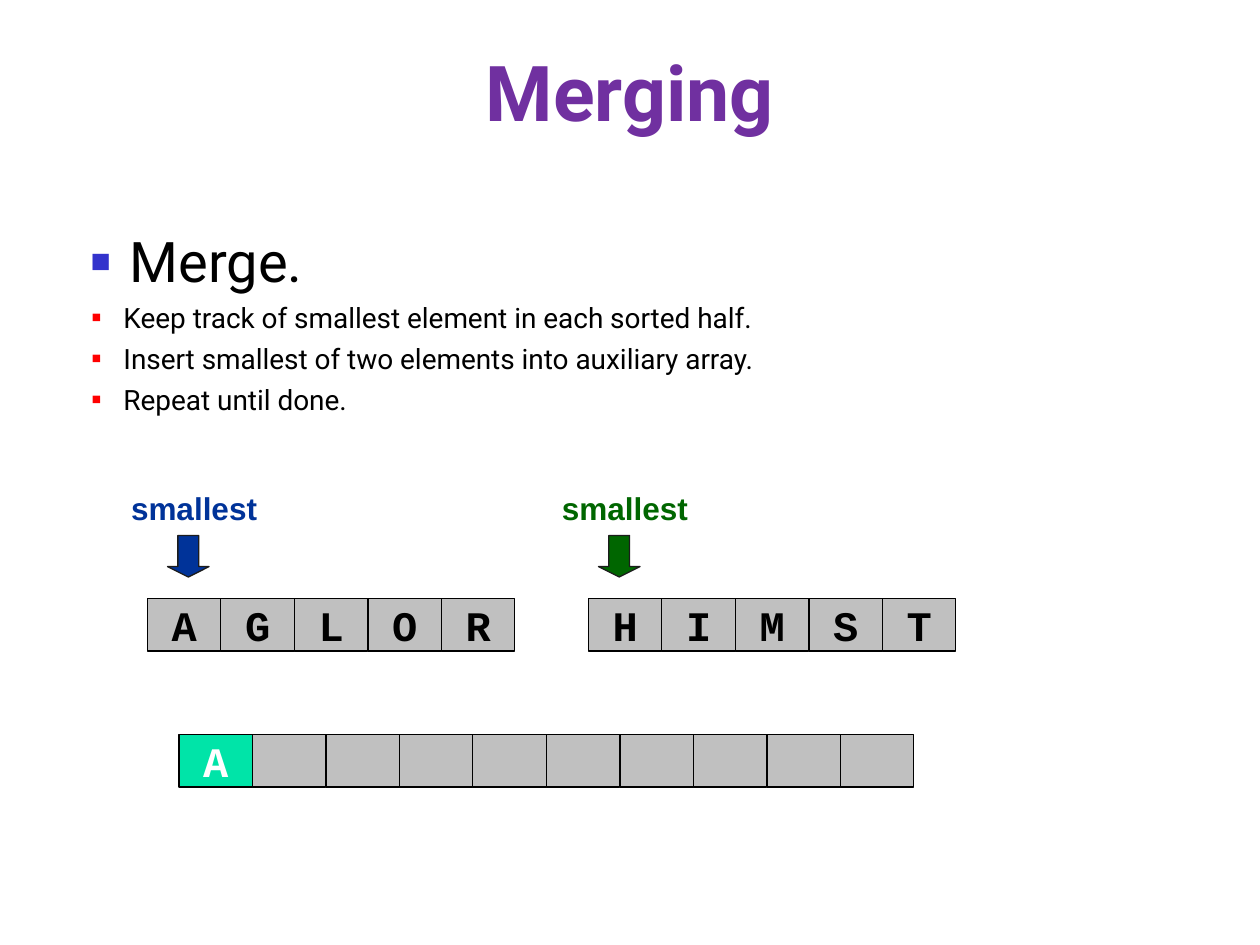
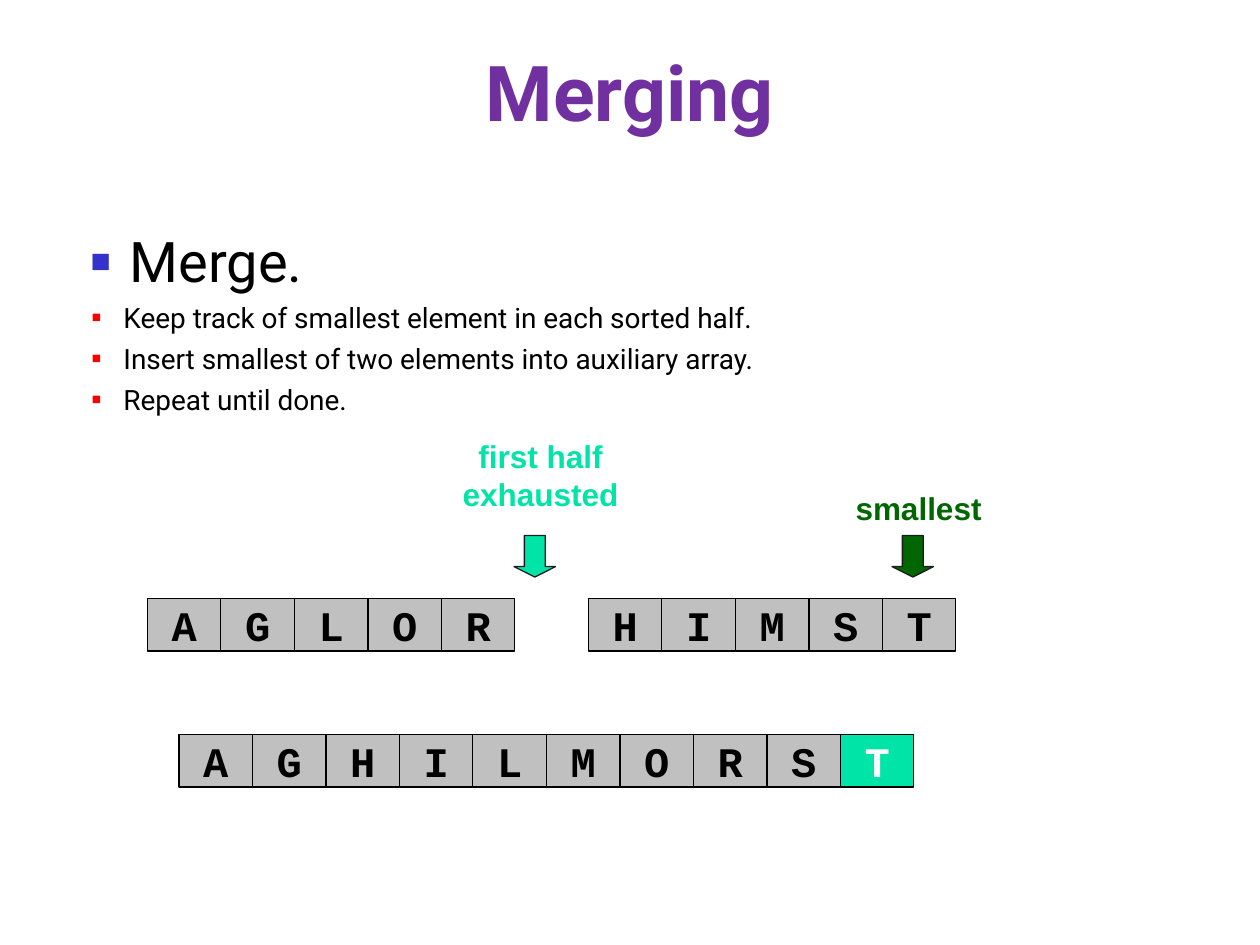
from lxml.etree import SubElement
from pptx import Presentation
from pptx.dml.color import RGBColor
from pptx.enum.shapes import MSO_SHAPE as Shape
from pptx.enum.text import MSO_ANCHOR as Anchor, MSO_AUTO_SIZE as AutoSize, PP_ALIGN as Align
from pptx.oxml.ns import qn
from pptx.util import Inches, Pt

PURPLE, BLUE, GREEN, MINT = "7030A0", "003399", "006600", "00E4A8"
BLACK, WHITE, GRAY, OUTLINE = "000000", "FFFFFF", "C0C0C0", "1C1C1C"
BULLET_BLUE, BULLET_RED = "3333CC", "FF0000"
CELL_WIDTH, CELL_HEIGHT = 7 / 12, 5 / 12
HALVES = [(1.17, "AGLOR"), (4.67, "HIMST")]
HALVES_TOP, AUXILIARY_LEFT, AUXILIARY_TOP = 4.75, 1.42, 5.83
AUXILIARY_SIZE = 10
ARROW_TOP, ARROW_SIZE = 4.25, 0.33
STEPS = [
    "Keep track of smallest element in each sorted half.",
    "Insert smallest of two elements into auxiliary array.",
    "Repeat until done.",
]


def color(hex_code):
    return RGBColor.from_string(hex_code)


def add_run(paragraph, text, font, size, hex_code, bold=False):
    run = paragraph.add_run()
    run.text = text
    run.font.name = font
    run.font.size = Pt(size)
    run.font.bold = bold
    run.font.color.rgb = color(hex_code)


def place(element, left, top, width, height):
    element.left, element.top = Inches(left), Inches(top)
    element.width, element.height = Inches(width), Inches(height)


def add_bullet(paragraph, hex_code, percent, margin, indent):
    properties = paragraph._p.get_or_add_pPr()
    properties.set("marL", str(Inches(margin)))
    properties.set("indent", str(Inches(indent)))
    bullet_color = SubElement(properties, qn("a:buClr"))
    SubElement(bullet_color, qn("a:srgbClr"), val=hex_code)
    SubElement(properties, qn("a:buSzPct"), val=str(percent * 1000))
    SubElement(properties, qn("a:buFont"), typeface="Arial")
    SubElement(properties, qn("a:buChar"), char="■")


def add_title(slide, text):
    title = slide.shapes.title
    place(title, 0.5, 0.3, 9, 1.25)
    frame = title.text_frame
    frame.auto_size = AutoSize.NONE
    frame.vertical_anchor = Anchor.TOP
    frame.paragraphs[0].alignment = Align.CENTER
    add_run(frame.paragraphs[0], text, "Roboto", 44, PURPLE, True)


def add_steps(slide, heading, steps):
    body = slide.placeholders[1]
    place(body, 0.5, 1.75, 9, 4.95)
    frame = body.text_frame
    frame.auto_size = AutoSize.NONE
    topic = frame.paragraphs[0]
    add_bullet(topic, BULLET_BLUE, 60, 0.43, -0.31)
    topic.space_before = Pt(0)
    add_run(topic, heading, "Roboto", 32, BLACK)
    for step in steps:
        item = frame.add_paragraph()
        item.level = 1
        add_bullet(item, BULLET_RED, 55, 0.38, -0.25)
        item.space_before = Pt(4)
        add_run(item, step, "Roboto", 16, BLACK)


def add_figure(slide, kind, left, top, width, height, fill, line):
    figure = slide.shapes.add_shape(
        kind, Inches(left), Inches(top), Inches(width), Inches(height))
    figure.shadow.inherit = False
    figure.fill.solid()
    figure.fill.fore_color.rgb = color(fill)
    figure.line.color.rgb = color(line)
    figure.line.width = Pt(0.75)
    return figure


def add_array(slide, left, top, letters, size, newest=None):
    for index, letter in enumerate(letters.ljust(size)):
        fill, ink = (MINT, WHITE) if index == newest else (GRAY, BLACK)
        cell = add_figure(slide, Shape.RECTANGLE, left + index * CELL_WIDTH, top,
                          CELL_WIDTH, CELL_HEIGHT, fill, BLACK)
        if letter.strip():
            frame = cell.text_frame
            frame.word_wrap = False
            frame.vertical_anchor = Anchor.MIDDLE
            frame.paragraphs[0].alignment = Align.CENTER
            add_run(frame.paragraphs[0], letter, "Courier New", 24, ink, True)


def add_pointer(slide, left, label_top, label_lines, hex_code):
    label = slide.shapes.add_textbox(
        Inches(left - 0.83), Inches(label_top), Inches(2.08),
        Inches(0.1 + 0.3 * len(label_lines)))
    label.text_frame.word_wrap = True
    caption = label.text_frame.paragraphs[0]
    caption.alignment = Align.CENTER
    for index, line in enumerate(label_lines):
        if index:
            caption.add_line_break()
        add_run(caption, line, "Arial", 18, hex_code, True)
    arrow = add_figure(slide, Shape.DOWN_ARROW, left, ARROW_TOP,
                       ARROW_SIZE, ARROW_SIZE, hex_code, OUTLINE)
    arrow.adjustments[0], arrow.adjustments[1] = 0.5, 0.25


def add_merge_slide(deck, pointers, merged):
    slide = deck.slides.add_slide(deck.slide_layouts[1])
    add_title(slide, "Merging")
    add_steps(slide, "Merge.", STEPS)
    for pointer in pointers:
        add_pointer(slide, *pointer)
    for left, letters in HALVES:
        add_array(slide, left, HALVES_TOP, letters, len(letters))
    add_array(slide, AUXILIARY_LEFT, AUXILIARY_TOP, merged, AUXILIARY_SIZE,
              newest=len(merged) - 1)


def main():
    deck = Presentation()
    deck.slide_width, deck.slide_height = Inches(10), Inches(7.5)
    add_merge_slide(deck, [
        (1.33, 3.83, ["smallest"], BLUE),
        (4.75, 3.83, ["smallest"], GREEN),
    ], "A")
    add_merge_slide(deck, [
        (4.08, 3.42, ["first half", "exhausted"], MINT),
        (7.08, 3.83, ["smallest"], GREEN),
    ], "AGHILMORST")
    deck.save("out.pptx")


if __name__ == "__main__":
    main()
